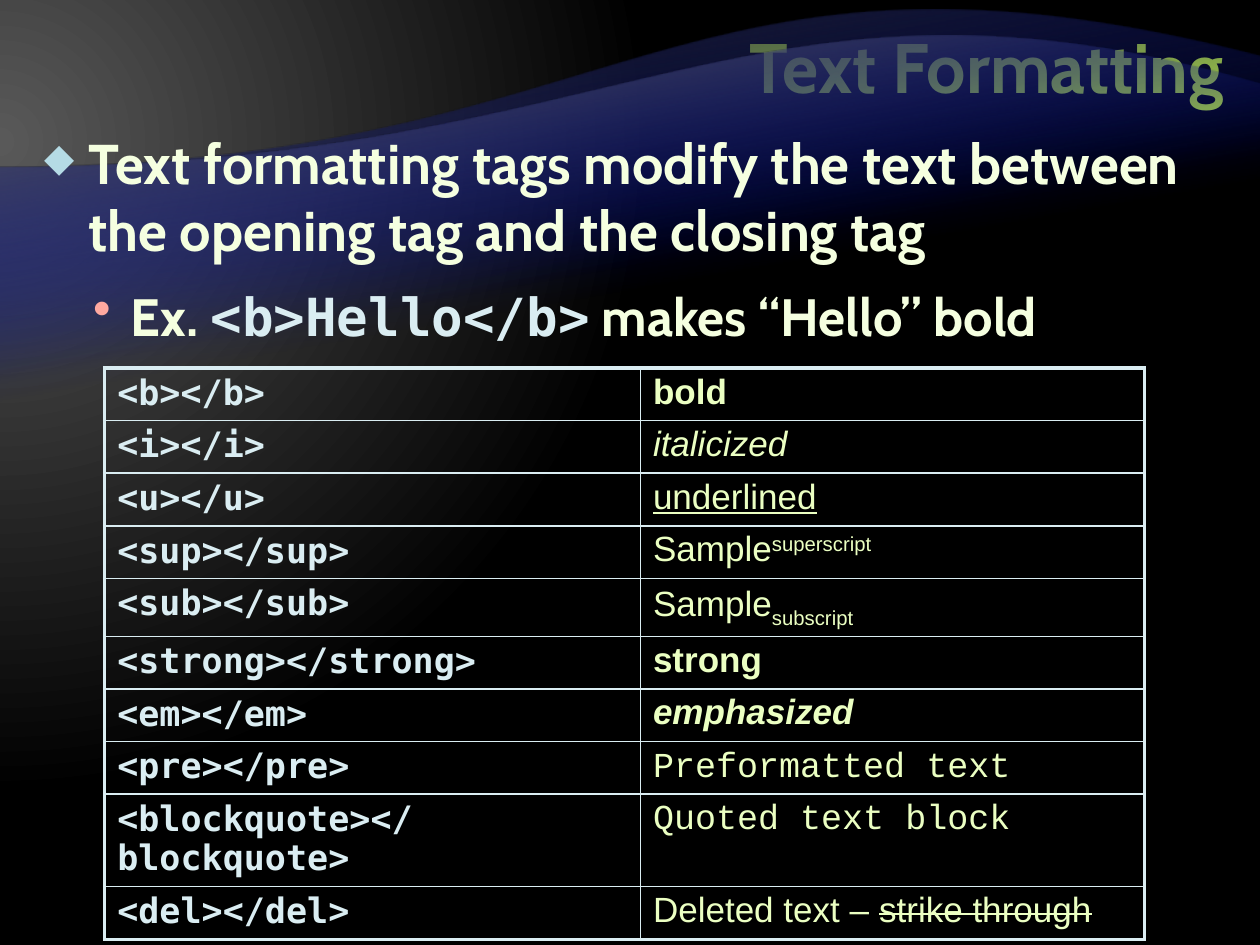
from dataclasses import dataclass

from lxml import etree
from pptx import Presentation
from pptx import util as u
from pptx.dml.color import RGBColor
from pptx.enum import text
from pptx.oxml.ns import nsdecls, qn
from pptx.oxml import parse_xml

SLIDE_W, SLIDE_H = 25.4, 19.05
HEADING, MONO, SANS, TYPEWRITER = "Cabin", "DejaVu Sans Mono", "Arial", "Courier New"
LIME, CREAM, ICE, PALE = "CCFF33", "F5FFE0", "DAEDF2", "EBFFC2"
ROW_H = 1.04


@dataclass
class Span:
    words: str
    font: str = SANS
    color: str = PALE
    size: float = 20
    bold: bool = False
    italic: bool = False
    underline: bool = False
    strike: bool = False
    baseline: int = 0


@dataclass
class Wave:
    """A band over the full width; its upper edge is one Bezier curve."""
    floor: float
    right: float
    control: tuple[float, float]
    tint: str


@dataclass
class Bullet:
    spans: list[Span]
    level: int
    indent: float
    hang: float
    sign: str
    color: str
    percent: int


@dataclass
class TagRow:
    tag: str
    effect: list[Span]
    height: float = ROW_H


def rgb(value: str) -> RGBColor:
    return RGBColor.from_string(value)


def gradient(stops: list[tuple[int, str, int]], direction: str):
    """Gradient fill from (position %, colour, opacity %) stops."""
    marks = "".join(
        f'<a:gs pos="{pos * 1000}"><a:srgbClr val="{color}">'
        f'<a:alpha val="{opacity * 1000}"/></a:srgbClr></a:gs>'
        for pos, color, opacity in stops)
    return parse_xml(f'<a:gradFill {nsdecls("a")} rotWithShape="1">'
                     f'<a:gsLst>{marks}</a:gsLst>{direction}</a:gradFill>')


def add_span(paragraph, span: Span) -> None:
    run = paragraph.add_run()
    run.text = span.words
    font = run.font
    font.name, font.size = span.font, u.Pt(span.size)
    font.bold, font.italic, font.underline = span.bold, span.italic, span.underline
    font.color.rgb = rgb(span.color)
    props = run._r.get_or_add_rPr()
    if span.strike:
        props.set("strike", "sngStrike")
    if span.baseline:
        props.set("baseline", str(span.baseline * 1000))


def add_wave(slide, wave: Wave) -> None:
    def turned(x: float, y: float) -> tuple[int, int]:
        return u.Cm(SLIDE_W - x), u.Cm(wave.right + wave.floor - y)

    left = 3.38
    builder = slide.shapes.build_freeform(*turned(0, wave.floor))
    builder.add_line_segments([turned(0, left), turned(SLIDE_W, wave.right),
                               turned(SLIDE_W, wave.floor)])
    band = builder.convert_to_shape()
    band.shadow.inherit = False
    band.line.fill.background()

    # Bend the upper edge
    outline = band._element.spPr.find(qn("a:custGeom"))
    edge = outline.findall(".//" + qn("a:lnTo"))[1]
    edge.tag = qn("a:cubicBezTo")
    for place, point in enumerate([(SLIDE_W / 2, left), wave.control]):
        x, y = turned(*point)
        knot = etree.Element(qn("a:pt"), x=str(x - band.left), y=str(y - band.top))
        edge.insert(place, knot)

    outline.addnext(gradient([(65, "000D9E", 0), (100, wave.tint, 100)],
                             '<a:lin ang="4800000" scaled="0"/>'))
    band.rotation = 180


def add_bullet(paragraph, bullet: Bullet) -> None:
    props = paragraph._p.get_or_add_pPr()
    props.set("marL", str(u.Cm(bullet.indent)))
    props.set("indent", str(-u.Cm(bullet.hang)))
    tint = etree.SubElement(props, qn("a:buClr"))
    etree.SubElement(tint, qn("a:srgbClr"), val=bullet.color)
    etree.SubElement(props, qn("a:buSzPct"), val=str(bullet.percent * 1000))
    etree.SubElement(props, qn("a:buChar"), char=bullet.sign)
    paragraph.level = bullet.level
    paragraph.space_after = u.Pt(6)
    for span in bullet.spans:
        add_span(paragraph, span)


def fill_cell(cell, spans: list[Span], thick_sides: str) -> None:
    paragraph = cell.text_frame.paragraphs[0]
    paragraph.line_spacing = 0.95
    for span in spans:
        add_span(paragraph, span)
    props = cell._tc.get_or_add_tcPr()
    for side in "LRTB":
        width = u.Pt(2.25 if side in thick_sides else 1)
        border = etree.SubElement(props, qn(f"a:ln{side}"), w=str(width))
        paint = etree.SubElement(border, qn("a:solidFill"))
        etree.SubElement(paint, qn("a:srgbClr"), val=ICE)
    cell.fill.background()


def add_tag_table(slide, rows: list[TagRow]) -> None:
    widths = (10.8, 10.16)
    table = slide.shapes.add_table(
        len(rows), 2, u.Cm(2.11), u.Cm(7.42), u.Cm(sum(widths)),
        u.Cm(sum(row.height for row in rows))).table
    table.first_row = table.horz_banding = False
    for column, width in zip(table.columns, widths):
        column.width = u.Cm(width)
    for i, row in enumerate(rows):
        table.rows[i].height = u.Cm(row.height)
        ends = ("T" if i == 0 else "") + ("B" if i == len(rows) - 1 else "")
        fill_cell(table.cell(i, 0), [Span(row.tag, MONO, ICE, bold=True)], "L" + ends)
        fill_cell(table.cell(i, 1), row.effect, "R" + ends)


WAVES = [
    Wave(16.59, 1.14, (13.56, -1.9), "262626"),
    Wave(14.15, 1.7, (15.19, -1.24), "595959"),
]
BULLETS = [
    Bullet([Span("Text formatting tags modify the text between the opening tag "
                 "and the closing tag", HEADING, CREAM, 32, True)],
           0, 0.89, 0.89, "◆", "B5DBE5", 70),
    Bullet([Span("Ex. ", HEADING, CREAM, 30, True),
            Span("<b>Hello</b>", MONO, ICE, 30, True),
            Span(" makes “Hello” bold", HEADING, CREAM, 30, True)],
           1, 1.75, 0.76, "•", "FFA9A0", 100),
]
TAG_ROWS = [
    TagRow("<b></b>", [Span("bold", bold=True)]),
    TagRow("<i></i>", [Span("italicized", italic=True)]),
    TagRow("<u></u>", [Span("underlined", underline=True)]),
    TagRow("<sup></sup>", [Span("Sample"), Span("superscript", baseline=30)]),
    TagRow("<sub></sub>", [Span("Sample"), Span("subscript", baseline=-25)], 1.12),
    TagRow("<strong></strong>", [Span("strong", bold=True)]),
    TagRow("<em></em>", [Span("emphasized", bold=True, italic=True)]),
    TagRow("<pre></pre>", [Span("Preformatted text", TYPEWRITER)]),
    TagRow("<blockquote></blockquote>", [Span("Quoted text block", TYPEWRITER)], 1.8),
    TagRow("<del></del>", [Span("Deleted text – "), Span("strike through", strike=True)]),
]


def main() -> None:
    deck = Presentation()
    deck.slide_width, deck.slide_height = u.Cm(SLIDE_W), u.Cm(SLIDE_H)
    slide = deck.slides.add_slide(deck.slide_layouts[5])

    # Background glow and waves
    slide.background.fill.solid()
    backdrop = slide.element.find(".//" + qn("p:bgPr"))
    backdrop.replace(backdrop[0], gradient(
        [(0, "595959", 100), (83, "000000", 100)],
        '<a:path path="circle">'
        '<a:fillToRect l="20000" t="30000" r="135000" b="100000"/></a:path>'))
    for wave in WAVES:
        add_wave(slide, wave)

    # Title
    title = slide.shapes.title
    title.left, title.top, title.width, title.height = map(u.Cm, (6.71, 0.2, 18.21, 2.51))
    title.text_frame.vertical_anchor = text.MSO_ANCHOR.MIDDLE
    heading = title.text_frame.paragraphs[0]
    heading.alignment = text.PP_ALIGN.RIGHT
    heading.line_spacing = u.Pt(40)
    add_span(heading, Span("Text Formatting", HEADING, LIME, 40, True))

    # Explanation
    body = slide.shapes.add_textbox(*map(u.Cm, (0.64, 2.46, 24.13, 15.95))).text_frame
    body.word_wrap = True
    for i, bullet in enumerate(BULLETS):
        paragraph = body.add_paragraph() if i else body.paragraphs[0]
        add_bullet(paragraph, bullet)
        if i:
            paragraph.space_before = u.Pt(6)

    # Tags and their effects
    add_tag_table(slide, TAG_ROWS)
    deck.save("out.pptx")


if __name__ == "__main__":
    main()
